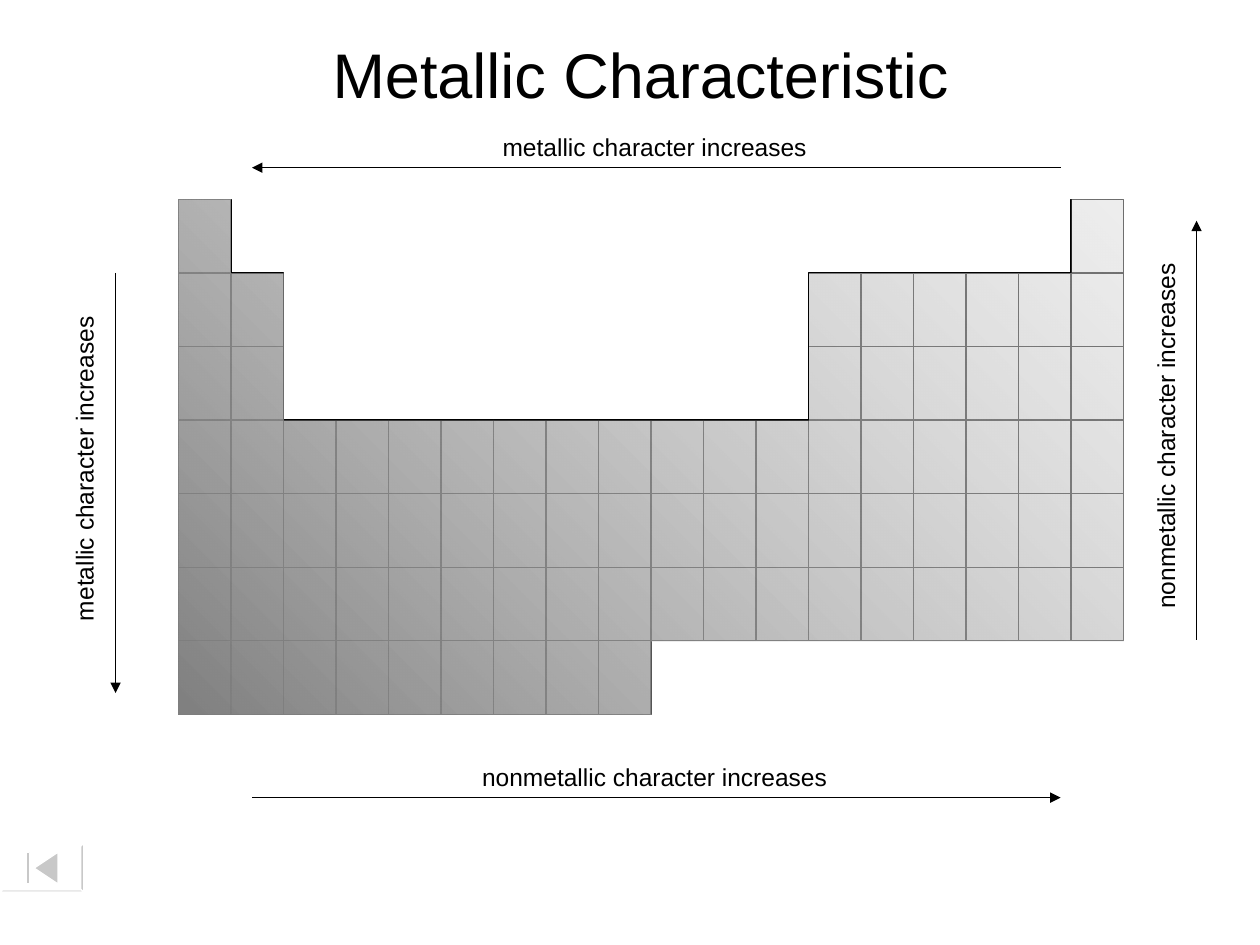
from lxml import etree
from pptx import Presentation
from pptx.dml.color import RGBColor
from pptx.enum.shapes import MSO_CONNECTOR, MSO_SHAPE
from pptx.enum.text import MSO_ANCHOR, MSO_AUTO_SIZE, PP_ALIGN
from pptx.oxml.ns import qn
from pptx.util import Cm, Pt

RECT, STRAIGHT = MSO_SHAPE.RECTANGLE, MSO_CONNECTOR.STRAIGHT
CENTER, MIDDLE = PP_ALIGN.CENTER, MSO_ANCHOR.MIDDLE
NO_FIT, GROW = MSO_AUTO_SIZE.NONE, MSO_AUTO_SIZE.SHAPE_TO_FIT_TEXT

THEME = {
    "ink": RGBColor(0, 0, 0),
    "paper": RGBColor(255, 255, 255),
    "nonmetal": RGBColor(0xDD, 0xDD, 0xDD),
    "metal": RGBColor(0x80, 0x80, 0x80),
    "button": RGBColor(0xC8, 0xC8, 0xC8),
    "button_edge": RGBColor(0xE6, 0xE6, 0xE6),
    "title": {"name": "Arial", "size": Pt(36)},
    "label": {"name": "Arial", "size": Pt(14)},
    "line": Pt(0.75),
}

# Content
TITLE = "Metallic Characteristic"
METAL = "metallic character increases"
NONMETAL = "nonmetallic character increases"

# Filled columns of each period, as (first, end)
PERIODS = [
    [(0, 1), (17, 18)],
    [(0, 2), (12, 18)],
    [(0, 2), (12, 18)],
    [(0, 18)],
    [(0, 18)],
    [(0, 18)],
    [(0, 9)],
]
# Corners of the whole table, as (column, row)
OUTLINE = [(0, 0), (1, 0), (1, 1), (2, 1), (2, 3), (12, 3), (12, 1), (17, 1),
           (17, 0), (18, 0), (18, 6), (9, 6), (9, 7), (0, 7)]
LEFT, TOP = Cm(3.6), Cm(4.02)
COL, ROW = Cm(19.05) / 18, Cm(10.38) / 7

# Trends: text, label centre, label width, rotation, arrow start, arrow end (cm)
TRENDS = [
    (METAL, (13.2, 2.97), 6.7, 0, (21.38, 3.38), (5.08, 3.38)),
    (NONMETAL, (13.2, 15.67), 7.5, 0, (5.08, 16.08), (21.38, 16.08)),
    (METAL, (1.7, 9.45), 6.7, 270, (2.33, 5.5), (2.33, 13.97)),
    (NONMETAL, (23.5, 8.79), 7.5, 270, (24.12, 12.9), (24.12, 4.45)),
]
LABEL_HEIGHT = 0.86

# Back button: fill and corners of each part (cm)
BUTTON = [
    ("paper", [(0, 17), (1.69, 17), (1.69, 17.99), (0, 17.99)]),
    ("button", [(1.69, 17), (1.69, 17.99), (1.63, 17.93), (1.63, 17.06)]),
    ("button_edge", [(1.69, 17.99), (0, 17.99), (0.06, 17.93), (1.63, 17.93)]),
    ("button", [(0.69, 17.5), (1.17, 17.18), (1.17, 17.82)]),
    ("button", [(0.53, 17.18), (0.6, 17.18), (0.6, 17.82), (0.53, 17.82)]),
]


def style_font(font, style):
    for name, value in style.items():
        setattr(font, name, value)
    font.color.rgb = THEME["ink"]


def set_line(line, color):
    line.color.rgb = THEME[color]
    line.width = THEME["line"]


def cell_corner(col, row):
    return round(LEFT + col * COL), round(TOP + row * ROW)


def add_polygon(shapes, points):
    builder = shapes.build_freeform(*points[0])
    builder.add_line_segments(points[1:], close=True)
    sp = builder.convert_to_shape()
    sp.shadow.inherit = False
    return sp


def add_cell(shapes, col, row):
    x, y = cell_corner(col, row)
    sp = shapes.add_shape(RECT, x, y, round(COL), round(ROW))
    sp.shadow.inherit = False
    sp.fill.background()
    set_line(sp.line, "ink")


def add_gradient(shapes):
    sp = add_polygon(shapes, [cell_corner(*corner) for corner in OUTLINE])
    sp.line.fill.background()
    sp.fill.gradient()
    sp.fill.gradient_angle = 225
    for stop, color in zip(sp.fill.gradient_stops, ("nonmetal", "metal")):
        stop.color.rgb = THEME[color]
    # The nonmetal end is half transparent
    light = sp._element.spPr.find(".//" + qn("a:srgbClr"))
    etree.SubElement(light, qn("a:alpha"), val="50000")


def add_arrow(shapes, start, end):
    line = shapes.add_connector(STRAIGHT, *map(Cm, start + end))
    set_line(line.line, "ink")
    etree.SubElement(line.line._get_or_add_ln(), qn("a:tailEnd"), type="triangle")
    etree.SubElement(line._element.spPr, qn("a:effectLst"))


def add_label(shapes, text, center, width, rotation):
    x, y = center
    box = shapes.add_textbox(Cm(x - width / 2), Cm(y - LABEL_HEIGHT / 2),
                             Cm(width), Cm(LABEL_HEIGHT))
    box.rotation = rotation
    tf = box.text_frame
    tf.word_wrap = False
    tf.auto_size = GROW
    p = tf.paragraphs[0]
    p.alignment = CENTER
    r = p.add_run()
    r.text = text
    style_font(r.font, THEME["label"])


def main():
    prs = Presentation()
    prs.slide_width, prs.slide_height = Cm(25.4), Cm(19.05)
    s = prs.slides.add_slide(prs.slide_layouts[5])
    shapes = s.shapes

    # Title
    title = shapes.title
    title.left, title.top, title.width, title.height = map(Cm, (2.12, 0.42, 21.59, 2.12))
    tf = title.text_frame
    tf.text = TITLE
    tf.auto_size = NO_FIT
    tf.vertical_anchor = MIDDLE
    p = tf.paragraphs[0]
    p.alignment = CENTER
    style_font(p.runs[0].font, THEME["title"])

    # Periodic table cells under the gradient
    for row, spans in enumerate(PERIODS):
        for first, end in spans:
            for col in range(first, end):
                add_cell(shapes, col, row)

    # Back button
    for color, corners in BUTTON:
        sp = add_polygon(shapes, [(Cm(x), Cm(y)) for x, y in corners])
        sp.fill.solid()
        sp.fill.fore_color.rgb = THEME[color]
        set_line(sp.line, "paper")

    add_gradient(shapes)

    # Trend arrows and labels
    for text, center, width, rotation, start, end in TRENDS:
        add_arrow(shapes, start, end)
        add_label(shapes, text, center, width, rotation)

    prs.save("out.pptx")


if __name__ == "__main__":
    main()
